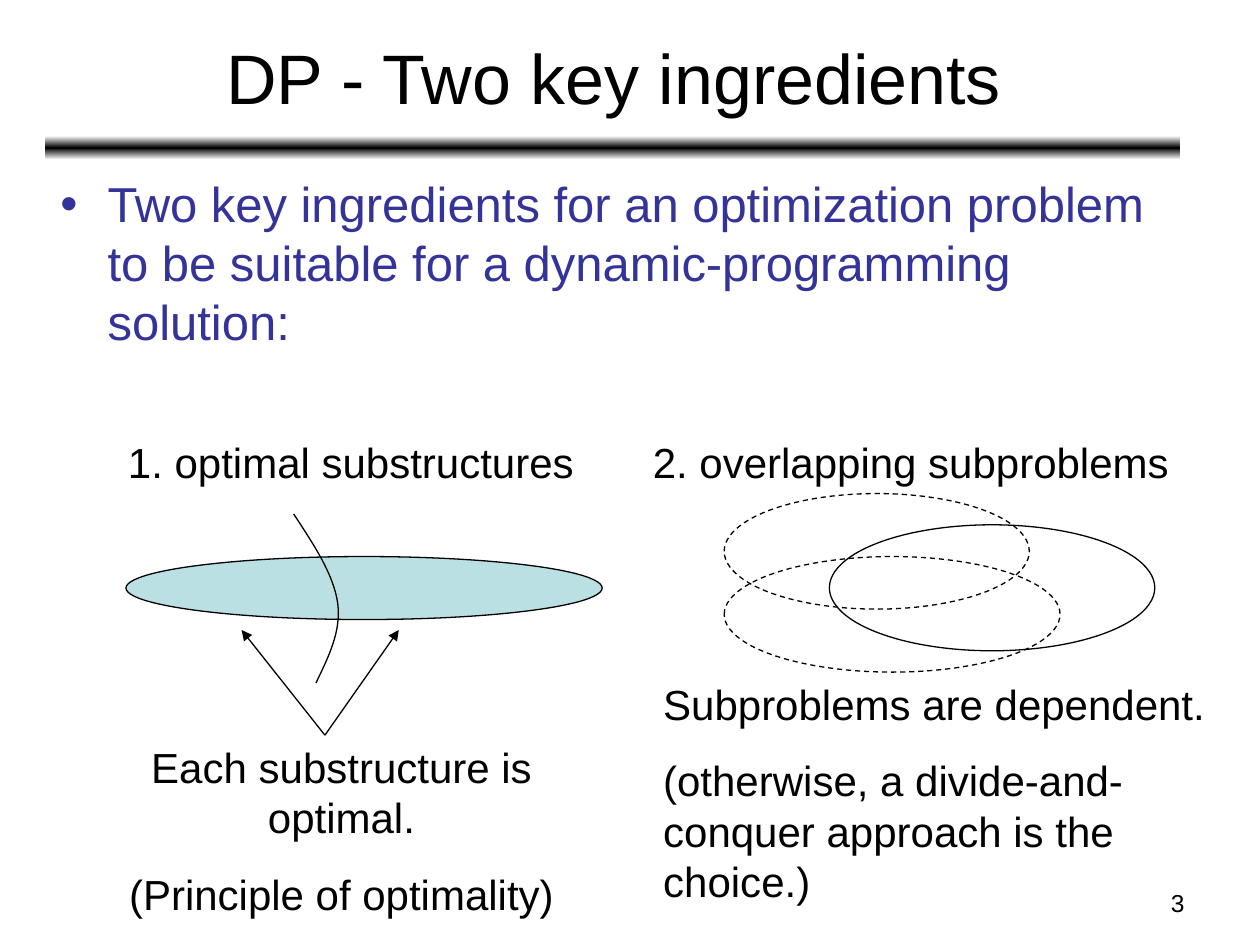
from copy import deepcopy
from pptx import Presentation
from pptx.dml.color import RGBColor
from pptx.enum.dml import MSO_LINE
from pptx.enum.shapes import MSO_CONNECTOR, MSO_SHAPE
from pptx.enum.text import MSO_ANCHOR, PP_ALIGN
from pptx.oxml.ns import qn
from pptx.util import Cm, Pt
from lxml import etree

# Content: places in centimetres
BLACK, WHITE, NAVY, AQUA = "000000", "FFFFFF", "333399", "BBE0E3"
RULE = (0.91, 2.74, 22.89, 0.48)
RULE_STOPS = [(0, WHITE), (0.5, BLACK), (1, WHITE)]
TEXTS = [
    (["3"], (18.21, 17.78, 5.92, 0.89), dict(size=14, align=PP_ALIGN.RIGHT, before=0)),
    (["DP - Two key ingredients"], (0.94, 0.28, 22.86, 2.51),
     dict(size=40, align=PP_ALIGN.CENTER, anchor=MSO_ANCHOR.MIDDLE, before=0)),
    (["Two key ingredients for an optimization problem to be suitable "
      "for a dynamic-programming solution:"], (0.97, 3.38, 22.86, 14.1),
     dict(size=28, color=NAVY, before=7, bullet="•")),
    (["1. optimal substructures"], (2.33, 8.68, 10.37, 1.27), {}),
    (["Each substructure is optimal.", "(Principle of optimality)"],
     (1.7, 14.82, 10.37, 3.84), dict(align=PP_ALIGN.CENTER)),
    (["2. overlapping subproblems"], (12.91, 8.68, 11, 1.27), {}),
    (["Subproblems are dependent.",
      "(otherwise, a divide-and-conquer approach is the choice.)"],
     (13.12, 13.55, 12.28, 4.85), {}),
]
ELLIPSES = [  # place, fill, dashed
    ((2.54, 11.22, 9.6, 1.27), AQUA, False),
    ((14.6, 9.95, 6.15, 2.33), None, True),
    ((16.72, 10.58, 6.56, 2.54), None, False),
    ((14.6, 11.22, 6.77, 2.33), None, True),
]
CUT_CURVE = [  # two Bezier arcs
    [(5.92, 10.36), (6.32, 10.97), (6.73, 11.58), (6.81, 12.17)],
    [(6.81, 12.17), (6.88, 12.73), (6.63, 13.23), (6.37, 13.77)],
]
ARROW_START = (6.55, 14.82)
ARROW_TIPS = [(4.87, 12.7), (8.04, 12.7)]
LINE_WIDTH = 0.74


def rgb(value):
    return RGBColor.from_string(value)


def cm(values):
    return [Cm(value) for value in values]


def add_text(paragraphs, place, size=24, color=BLACK, align=PP_ALIGN.LEFT,
             anchor=MSO_ANCHOR.TOP, before=15, bullet=None):
    frame = slide.shapes.add_textbox(*cm(place)).text_frame
    frame.word_wrap = True
    frame.vertical_anchor = anchor
    for index, text in enumerate(paragraphs):
        paragraph = frame.add_paragraph() if index else frame.paragraphs[0]
        paragraph.alignment = align
        paragraph.space_before = Pt(before)
        run = paragraph.add_run()
        run.text = text
        run.font.name, run.font.size = "Arial", Pt(size)
        run.font.color.rgb = rgb(color)
        if bullet:
            props = paragraph._p.get_or_add_pPr()
            props.set("marL", str(Cm(0.95)))
            props.set("indent", str(-Cm(0.95)))
            etree.SubElement(props, qn("a:buFont")).set("typeface", "Arial")
            etree.SubElement(props, qn("a:buChar")).set("char", bullet)


def style(shape, fill=None, dashed=False):
    shape.shadow.inherit = False
    if fill:
        shape.fill.solid()
        shape.fill.fore_color.rgb = rgb(fill)
    else:
        shape.fill.background()
    shape.line.color.rgb = rgb(BLACK)
    shape.line.width = Pt(LINE_WIDTH)
    if dashed:
        shape.line.dash_style = MSO_LINE.DASH


def bezier(points, t):
    weights = ((1 - t) ** 3, 3 * t * (1 - t) ** 2, 3 * t * t * (1 - t), t ** 3)
    return tuple(Cm(sum(w * p[axis] for w, p in zip(weights, points))) for axis in (0, 1))


deck = Presentation()
deck.slide_width, deck.slide_height = Cm(25.4), Cm(19.05)
slide = deck.slides.add_slide(deck.slide_layouts[6])

# Gradient rule under the title
rule = slide.shapes.add_shape(MSO_SHAPE.ROUNDED_RECTANGLE, *cm(RULE))
rule.shadow.inherit = False
rule.line.fill.background()
rule.fill.gradient()
rule.fill.gradient_angle = 90
stop_list = rule._element.spPr.find(qn("a:gradFill")).find(qn("a:gsLst"))
stop_list.append(deepcopy(stop_list[0]))
for stop, (position, color) in zip(rule.fill.gradient_stops, RULE_STOPS):
    stop.position = position
    stop.color.rgb = rgb(color)

# Ellipses
for place, fill, dashed in ELLIPSES:
    style(slide.shapes.add_shape(MSO_SHAPE.OVAL, *cm(place)), fill, dashed)

# Curve that splits the first ellipse
outline = [bezier(arc, step / 16) for arc in CUT_CURVE for step in range(17)]
builder = slide.shapes.build_freeform(*outline[0])
builder.add_line_segments(outline[1:], close=False)
style(builder.convert_to_shape())

# Arrows to the two substructures
for tip in ARROW_TIPS:
    arrow = slide.shapes.add_connector(MSO_CONNECTOR.STRAIGHT, *cm(ARROW_START + tip))
    arrow.line.color.rgb = rgb(BLACK)
    arrow.line.width = Pt(LINE_WIDTH)
    etree.SubElement(arrow.line._get_or_add_ln(), qn("a:tailEnd")).set("type", "triangle")
    etree.SubElement(arrow._element.spPr, qn("a:effectLst"))

# Texts
for paragraphs, place, form in TEXTS:
    add_text(paragraphs, place, **form)

deck.save("out.pptx")
